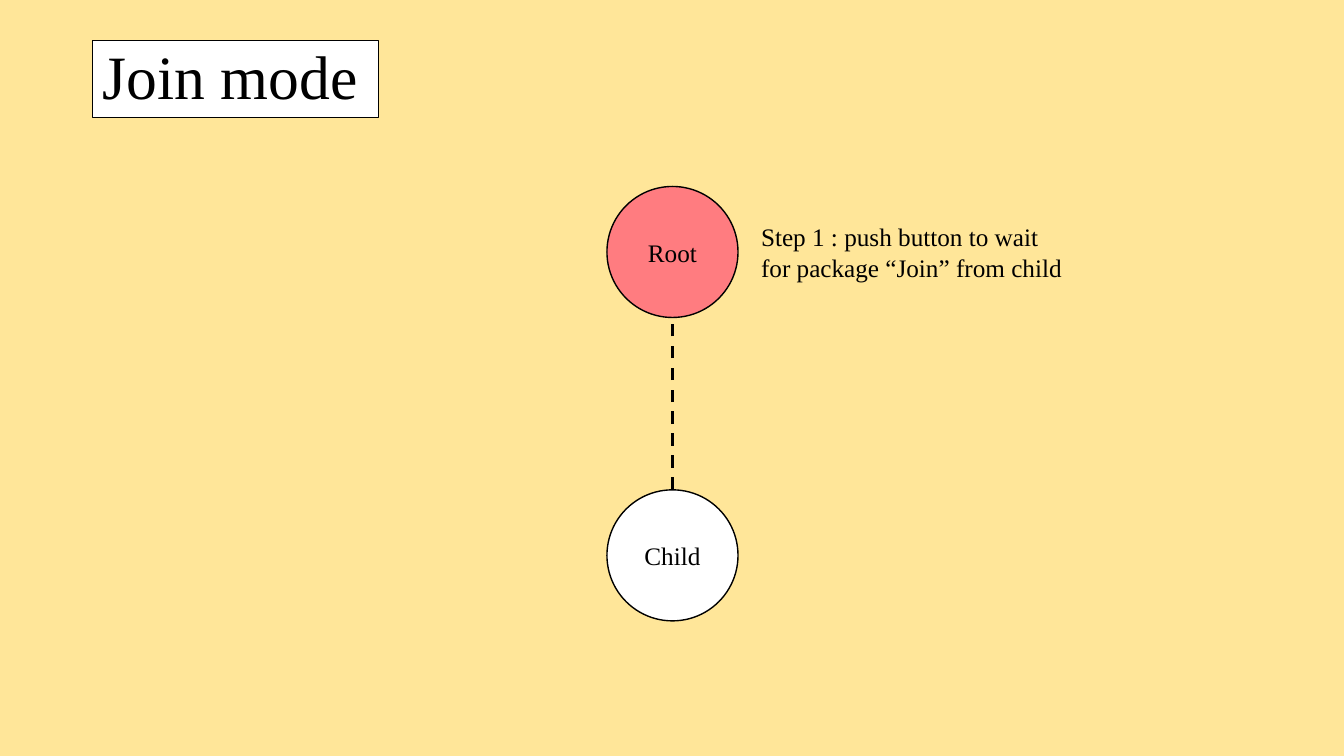
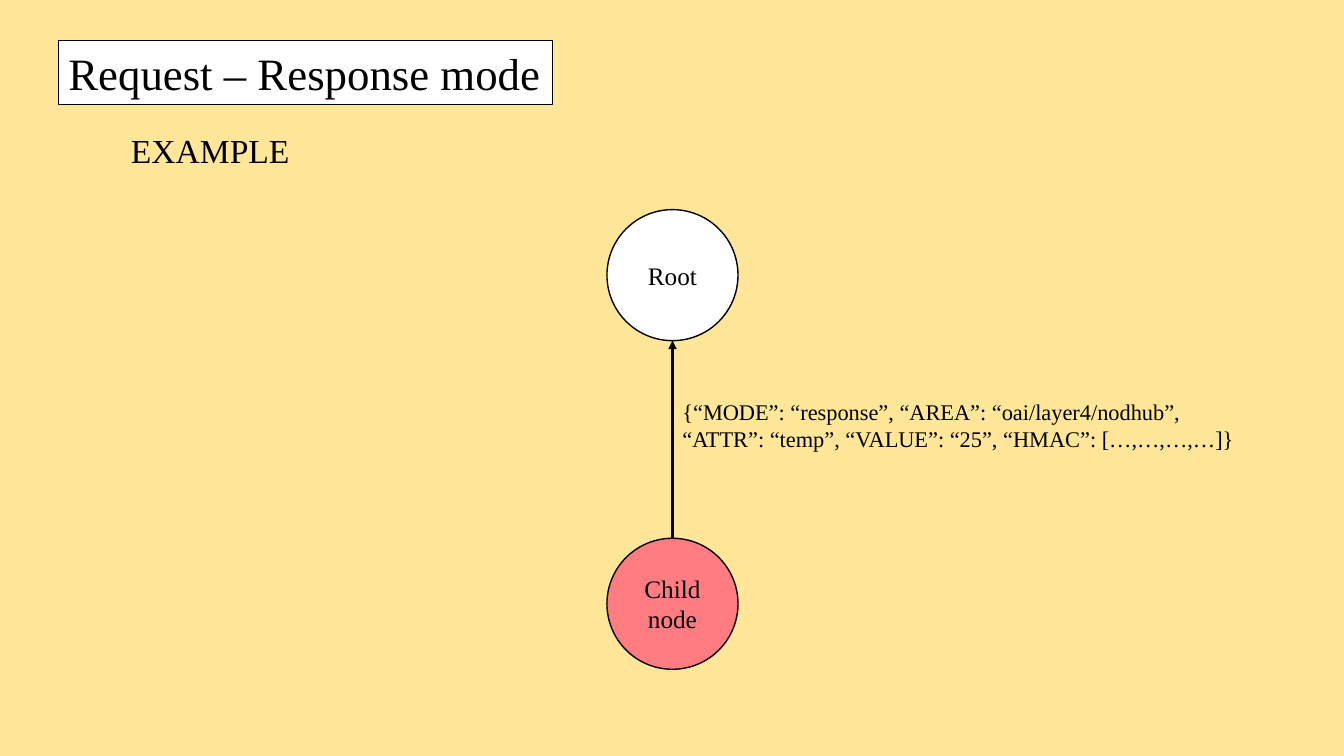
from dataclasses import dataclass

from lxml import etree
from pptx import Presentation
from pptx import util as u
from pptx.dml.color import RGBColor
from pptx.enum import dml, shapes, text
from pptx.oxml.ns import qn


@dataclass(frozen=True)
class Theme:
    """Colours, font, type sizes and shared measures of the deck."""
    ground: str = "FFE699"
    paper: str = "FFFFFF"
    active: str = "FF7C80"
    ink: str = "000000"
    font: str = "Times New Roman"
    body: int = 18
    code: int = 16
    subtitle: int = 24
    node: float = 1.3


T = Theme()


def colour(value):
    """Turn a hex string into a colour."""
    return RGBColor.from_string(value)


def write(tf, lines, size=T.body, align=None, anchor=text.MSO_ANCHOR.TOP, spacing=None):
    """Fill a text frame with one paragraph for each line."""
    tf.word_wrap = True
    tf.vertical_anchor = anchor
    for i, line in enumerate(lines.split("\n")):
        p = tf.paragraphs[0] if i == 0 else tf.add_paragraph()
        p.alignment = align
        p.line_spacing = spacing
        r = p.add_run()
        r.text = line
        r.font.name, r.font.size = T.font, u.Pt(size)
        r.font.color.rgb = colour(T.ink)


def add_text(s, box, lines, **fmt):
    """Place a wrapped text box."""
    sp = s.shapes.add_textbox(*map(u.Inches, box))
    write(sp.text_frame, lines, **fmt)


def add_outlined(s, kind, box, fill, weight, lines, **fmt):
    """Place a filled, outlined shape with text."""
    sp = s.shapes.add_shape(kind, *map(u.Inches, box))
    sp.shadow.inherit = False
    sp.fill.solid()
    sp.fill.fore_color.rgb = colour(fill)
    sp.line.color.rgb = colour(T.ink)
    sp.line.width = u.Pt(weight)
    write(sp.text_frame, lines, anchor=text.MSO_ANCHOR.MIDDLE, **fmt)
    return sp


def add_title(s, box, title, size, spacing=None):
    """Place the framed slide title."""
    add_outlined(s, shapes.MSO_SHAPE.RECTANGLE, box, T.paper, 0.75, title,
                 size=size, align=text.PP_ALIGN.LEFT, spacing=spacing)


def add_node(s, left, top, label, active):
    """Place a round network node, tinted when active."""
    return add_outlined(s, shapes.MSO_SHAPE.OVAL, (left, top, T.node, T.node),
                        T.active if active else T.paper, 1, label,
                        align=text.PP_ALIGN.CENTER)


def add_link(s, child, root, weight, dashed=False, arrow=False):
    """Draw the line from the top of the child to the bottom of the root."""
    x = root.left + root.width // 2
    c = s.shapes.add_connector(shapes.MSO_CONNECTOR.STRAIGHT,
                               x, child.top, x, root.top + root.height)
    c.begin_connect(child, 0)
    c.line.color.rgb = colour(T.ink)
    c.line.width = u.Pt(weight)
    if dashed:
        c.line.dash_style = dml.MSO_LINE.DASH
    if arrow:
        etree.SubElement(c.line._get_or_add_ln(), qn("a:tailEnd"), type="triangle")
    etree.SubElement(c._element.spPr, qn("a:effectLst"))


def add_diagram(s, box, child_label, root_active, **link):
    """Stack root over child in a box and link them."""
    left, top, width, height = box
    x = left + (width - T.node) / 2
    root = add_node(s, x, top, "Root", root_active)
    child = add_node(s, x, top + height - T.node, child_label, not root_active)
    if root_active:
        child.fill.fore_color.rgb = colour(T.paper)
    add_link(s, child, root, **link)


def new_slide(prs):
    """Add a blank slide with the shared background."""
    s = prs.slides.add_slide(prs.slide_layouts[6])
    s.background.fill.solid()
    s.background.fill.fore_color.rgb = colour(T.ground)
    return s


def join_slide(prs):
    """Build the slide on join mode."""
    s = new_slide(prs)
    add_title(s, (0.92, 0.4, 2.83, 0.77), "Join mode", 44, spacing=0.9)
    add_diagram(s, (6.02, 1.85, T.node, 4.31), "Child", True, weight=2.25, dashed=True)
    add_text(s, (7.45, 2.15, 3.29, 0.71),
             "Step 1 : push button to wait for package “Join” from child")


def response_slide(prs):
    """Build the slide on request and response mode."""
    s = new_slide(prs)
    add_title(s, (0.58, 0.4, 4.9, 0.64), "Request – Response mode", 32)
    add_text(s, (1.2, 1.24, 3, 0.5), "EXAMPLE", size=T.subtitle)
    add_diagram(s, (6.02, 2.08, T.node, 4.56), "Child\nnode", False, weight=1.5, arrow=True)
    add_text(s, (6.67, 3.9, 5.76, 0.64),
             "{“MODE”: “response”, “AREA”: “oai/layer4/nodhub”, "
             "“ATTR”: “temp”, “VALUE”: “25”, “HMAC”: […,…,…,…]}", size=T.code)


def main():
    """Build and save the deck."""
    prs = Presentation()
    prs.slide_width, prs.slide_height = u.Inches(13.33), u.Inches(7.5)
    join_slide(prs)
    response_slide(prs)
    prs.save("out.pptx")


if __name__ == "__main__":
    main()
